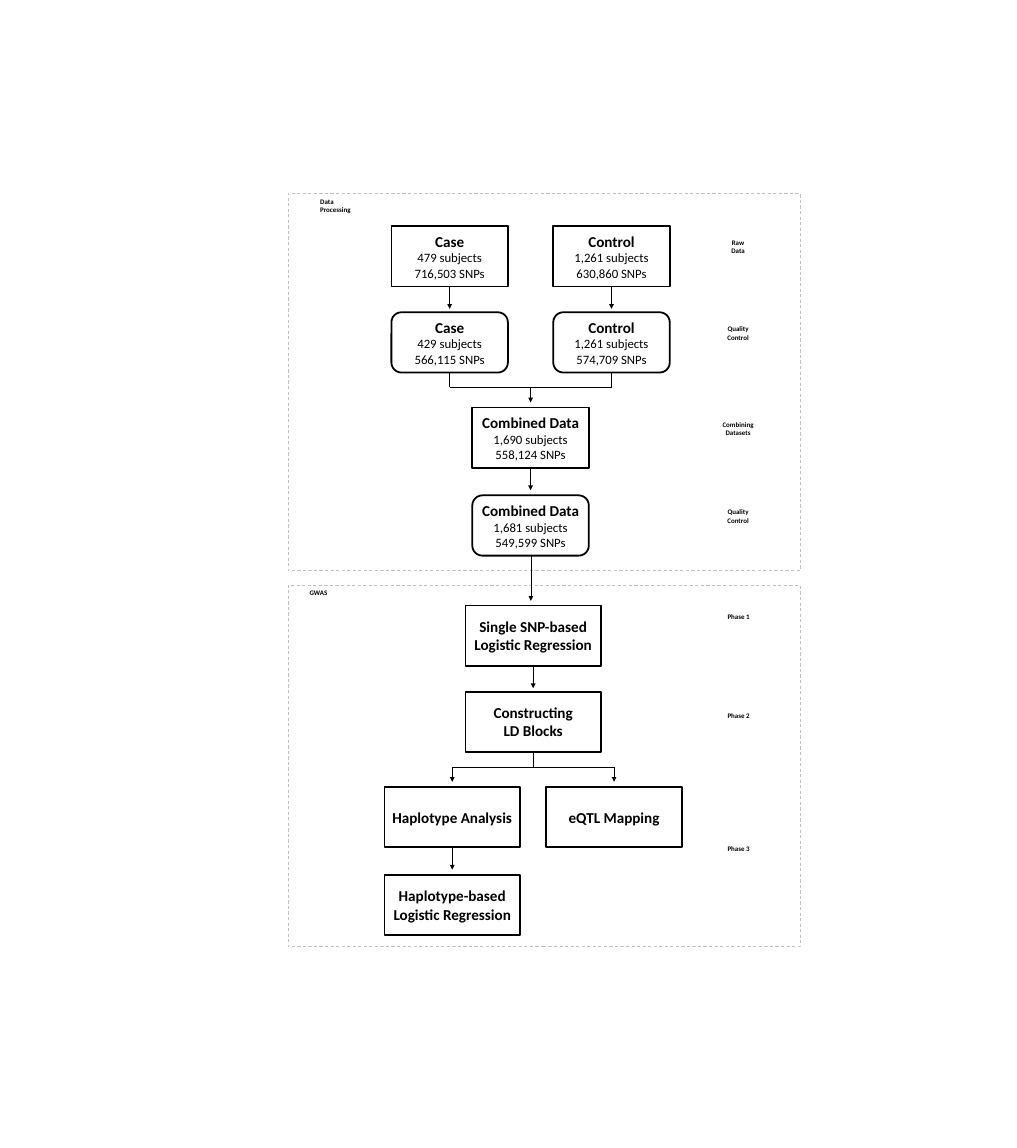
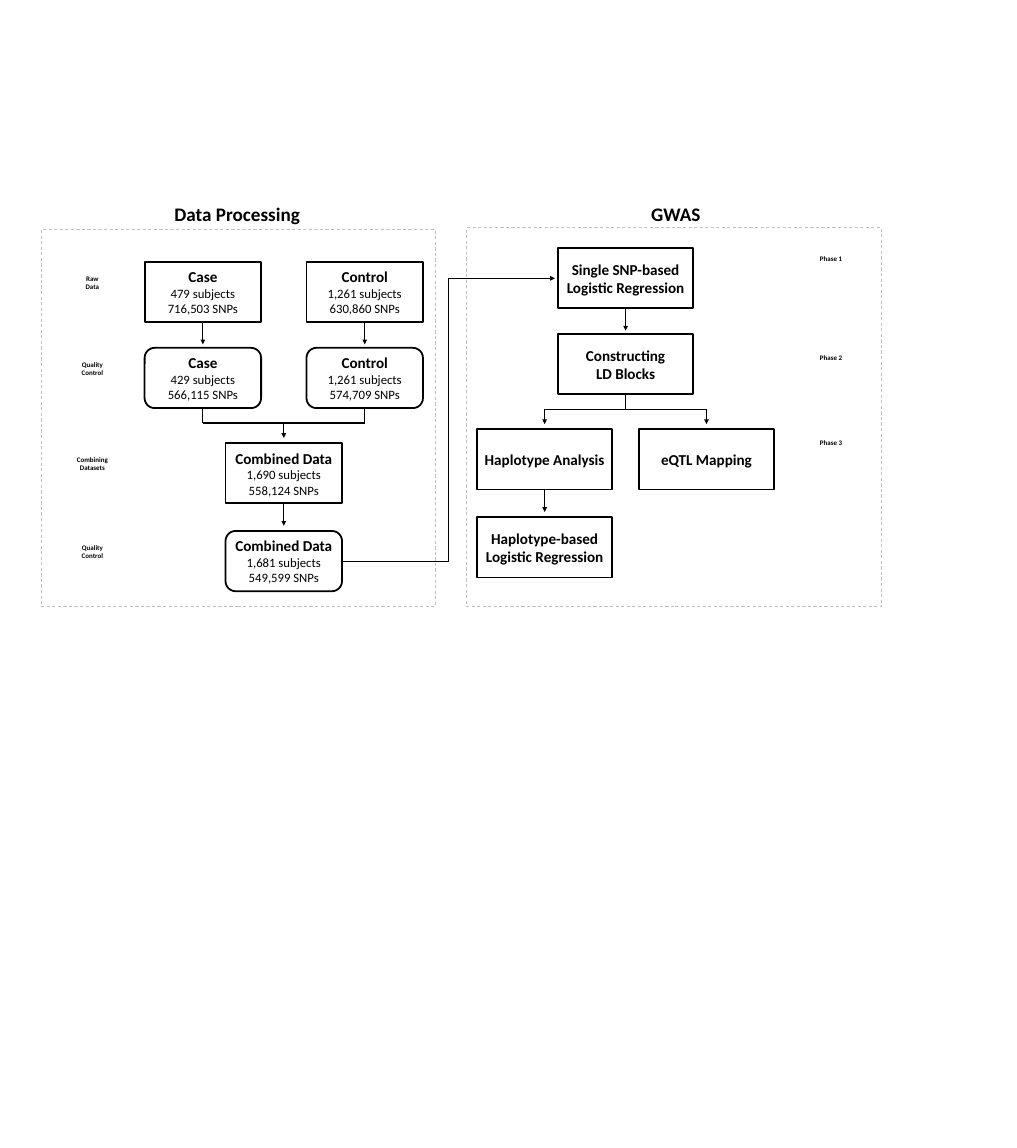
from dataclasses import dataclass

from lxml import etree
from pptx import Presentation
from pptx import util as u
from pptx.dml.color import RGBColor
from pptx.enum import dml, shapes, text
from pptx.oxml.ns import qn


@dataclass(frozen=True)
class Theme:
    font: str = "Calibri"
    ink: RGBColor = RGBColor(0x00, 0x00, 0x00)
    frame: RGBColor = RGBColor(0xBF, 0xBF, 0xBF)
    box_title: float = 19
    box_detail: float = 16
    label: float = 8.7
    heading: float = 24
    box_line: float = 2.25
    frame_line: float = 1


THEME = Theme()
RECT = shapes.MSO_SHAPE.RECTANGLE
ROUNDED = shapes.MSO_SHAPE.ROUNDED_RECTANGLE
CENTER, JUSTIFY = text.PP_ALIGN.CENTER, text.PP_ALIGN.JUSTIFY

# Grid shared by both flows, measured from the flow's top left box
ROWS = (0, 1.5, 3.16, 4.69)
BRANCH_STEP = 2.82
BOX_HEIGHT = 1.05
ARROW = 0.39
STEM = 0.26

# Boxes: column (0 left, 0.5 middle, 1 right), row, outline, paragraphs
PROCESSING = {
    "box_width": 2.03,
    "boxes": [
        (0, 0, RECT, ["Case", "479 subjects", "716,503 SNPs"]),
        (1, 0, RECT, ["Control", "1,261 subjects", "630,860 SNPs"]),
        (0, 1, ROUNDED, ["Case", "429 subjects", "566,115 SNPs"]),
        (1, 1, ROUNDED, ["Control", "1,261 subjects", "574,709 SNPs"]),
        (0.5, 2, RECT, ["Combined Data", "1,690 subjects", "558,124 SNPs"]),
        (0.5, 3, ROUNDED, ["Combined Data", "1,681 subjects", "549,599 SNPs"]),
    ],
    "arrows": [(0, 0), (1, 0), (0.5, 2)],
    "stems": [0, 1],
    "drops": [0.5],
}
GWAS = {
    "box_width": 2.36,
    "boxes": [
        (0.5, 0, RECT, ["Single SNP-based\vLogistic Regression"]),
        (0.5, 1, RECT, ["Constructing\vLD Blocks"]),
        (0, 2, RECT, ["Haplotype Analysis"]),
        (1, 2, RECT, ["eQTL Mapping"]),
        (0, 3, RECT, ["Haplotype-based\vLogistic Regression"]),
    ],
    "arrows": [(0.5, 0), (0, 2)],
    "stems": [0.5],
    "drops": [0, 1],
}

# Step labels: text, width, height, offset from the top of the flow
PROCESSING_LABELS = [
    ("Raw\vData", 0.44, 0.4, 0.17),
    ("Quality\vControl", 0.58, 0.4, 1.67),
    ("Combining\vDatasets", 0.75, 0.4, 3.33),
    ("Quality\vControl", 0.58, 0.4, 4.86),
]


def phase_labels(last_offset):
    offsets = (0.07, 1.79, last_offset)
    return [(f"Phase {number}", 0.59, 0.25, offset)
            for number, offset in enumerate(offsets, 1)]


# Flows: content, left, top, label centre, labels. Titles: paragraphs, place, alignment
SLIDES = [
    {
        "line": 0.5,
        "flows": [
            (PROCESSING, 6.82, 3.94, 12.86, PROCESSING_LABELS),
            (GWAS, 6.7, 10.55, 12.87, phase_labels(4.12)),
        ],
        "frames": [(5.02, 3.37, 8.92, 6.57), (5.02, 10.2, 8.92, 6.29)],
        "title_size": THEME.label,
        "titles": [
            (["Data ", "Processing"], (5.48, 3.39, 0.74, 0.4), JUSTIFY),
            (["GWAS"], (5.29, 10.2, 0.52, 0.25), CENTER),
        ],
        "link": (shapes.MSO_CONNECTOR.STRAIGHT, (9.25, 9.68), (9.25, 10.47)),
    },
    {
        "line": 1.5,
        "flows": [
            (PROCESSING, 2.52, 4.56, 1.61, PROCESSING_LABELS),
            (GWAS, 8.31, 4.32, 14.48, phase_labels(3.27)),
        ],
        "frames": [(0.72, 4, 6.86, 6.57), (8.13, 3.97, 7.23, 6.6)],
        "title_size": THEME.heading,
        "titles": [
            (["Data Processing"], (2.94, 3.48, 2.41, 0.5), JUSTIFY),
            (["GWAS"], (11.24, 3.48, 1.07, 0.5), CENTER),
        ],
        "link": (shapes.MSO_CONNECTOR.ELBOW, (5.97, 9.78), (9.67, 4.85)),
    },
]


def inches(values):
    return [u.Inches(value) for value in values]


def write(text_frame, lines, size, detail_size=None, align=CENTER):
    """The first paragraph is bold; the rest are plain when detail_size is given."""
    text_frame.text = "\n".join(lines)
    for index, paragraph in enumerate(text_frame.paragraphs):
        detail = index > 0 and detail_size is not None
        paragraph.alignment = align
        for run in paragraph.runs:
            run.font.name = THEME.font
            run.font.size = u.Pt(detail_size if detail else size)
            run.font.bold = not detail
            run.font.color.rgb = THEME.ink


def add_outline(slide, kind, place, color, width):
    shape = slide.shapes.add_shape(kind, *inches(place))
    shape.shadow.inherit = False
    shape.fill.background()
    shape.line.color.rgb = color
    shape.line.width = u.Pt(width)
    return shape


def add_box(slide, kind, place, lines):
    shape = add_outline(slide, kind, place, THEME.ink, THEME.box_line)
    shape.text_frame.vertical_anchor = text.MSO_ANCHOR.MIDDLE
    write(shape.text_frame, lines, THEME.box_title, THEME.box_detail)


def add_frame(slide, place):
    shape = add_outline(slide, RECT, place, THEME.frame, THEME.frame_line)
    shape.line.dash_style = dml.MSO_LINE.DASH


def add_text(slide, lines, place, size, align=CENTER):
    text_frame = slide.shapes.add_textbox(*inches(place)).text_frame
    text_frame.word_wrap = False
    text_frame.auto_size = text.MSO_AUTO_SIZE.SHAPE_TO_FIT_TEXT
    write(text_frame, lines, size, align=align)


def add_line(slide, start, end, width, arrow=False,
             kind=shapes.MSO_CONNECTOR.STRAIGHT):
    connector = slide.shapes.add_connector(kind, *inches(start + end))
    connector.line.color.rgb = THEME.ink
    connector.line.width = u.Pt(width)
    if arrow:
        line = connector.line._get_or_add_ln()
        etree.SubElement(line, qn("a:tailEnd"), type="triangle")
    etree.SubElement(connector._element.spPr, qn("a:effectLst"))


def add_flow(slide, flow, left, top, width):
    def center(column):
        return left + flow["box_width"] / 2 + column * BRANCH_STEP

    for column, row, kind, lines in flow["boxes"]:
        place = (left + column * BRANCH_STEP, top + ROWS[row],
                 flow["box_width"], BOX_HEIGHT)
        add_box(slide, kind, place, lines)

    # Arrows from one row to the next
    for column, row in flow["arrows"]:
        x, y = center(column), top + ROWS[row] + BOX_HEIGHT
        add_line(slide, (x, y), (x, y + ARROW), width, arrow=True)

    # Fork or join between the second and third rows
    start = top + ROWS[1] + BOX_HEIGHT
    bar = start + STEM
    for column in flow["stems"]:
        add_line(slide, (center(column), start), (center(column), bar), width)
    add_line(slide, (center(0), bar), (center(1), bar), width)
    for column in flow["drops"]:
        x = center(column)
        add_line(slide, (x, bar), (x, bar + STEM), width, arrow=True)


def build_slide(presentation, content):
    slide = presentation.slides.add_slide(presentation.slide_layouts[6])
    for flow, left, top, label_center, labels in content["flows"]:
        add_flow(slide, flow, left, top, content["line"])
        for label, width, height, offset in labels:
            place = (label_center - width / 2, top + offset, width, height)
            add_text(slide, [label], place, THEME.label)
    for place in content["frames"]:
        add_frame(slide, place)
    kind, start, end = content["link"]
    add_line(slide, start, end, content["line"], arrow=True, kind=kind)
    for lines, place, align in content["titles"]:
        add_text(slide, lines, place, content["title_size"], align)


def main():
    presentation = Presentation()
    presentation.slide_width = u.Inches(17.72)
    presentation.slide_height = u.Inches(20)
    for content in SLIDES:
        build_slide(presentation, content)
    presentation.save("out.pptx")


if __name__ == "__main__":
    main()
